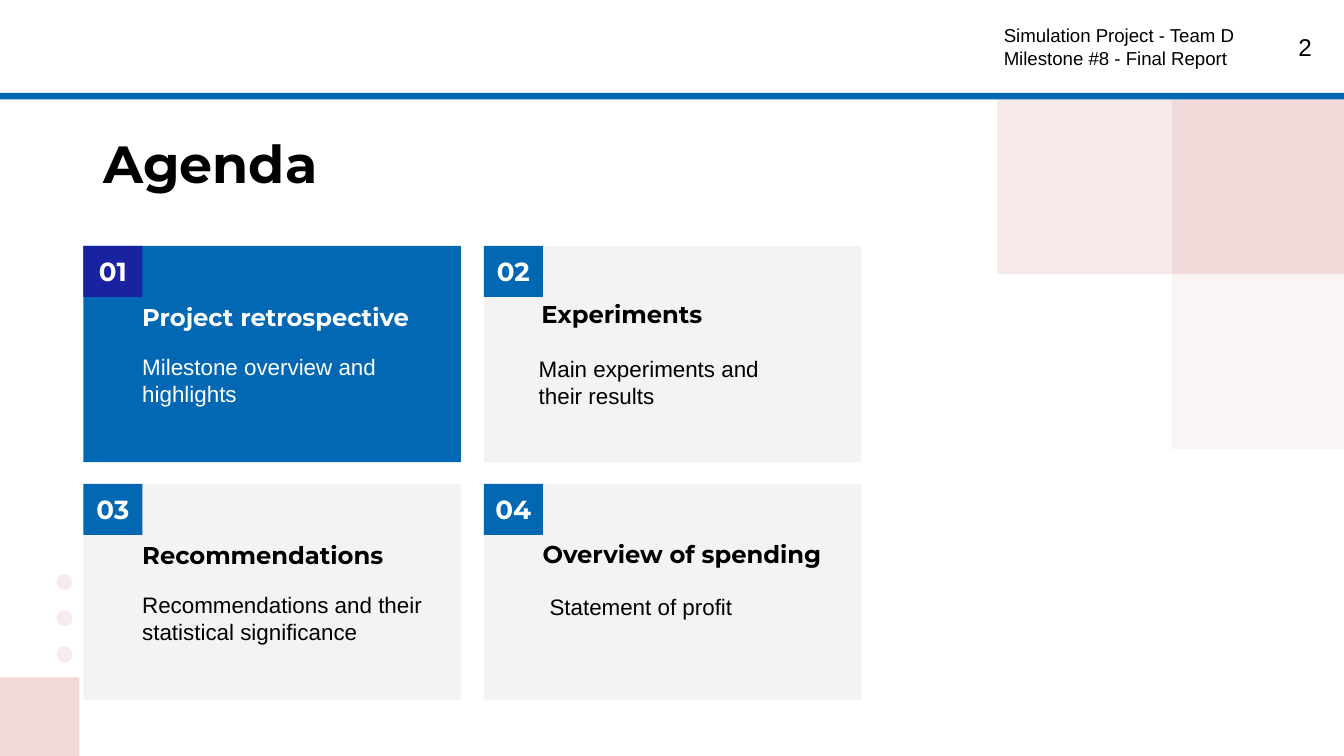
from dataclasses import dataclass

from lxml.etree import SubElement
from pptx import Presentation
from pptx.dml.color import RGBColor
from pptx.enum.shapes import MSO_SHAPE as Preset
from pptx.enum.text import MSO_ANCHOR as Anchor, MSO_AUTO_SIZE as AutoSize, PP_ALIGN as Align
from pptx.oxml.ns import qn
from pptx.shapes.autoshape import Shape
from pptx.slide import Slide
from pptx.util import Inches, Pt

BLUE, NAVY, GREY = "0268B4", "1922A1", "F3F3F3"
PINK, PALE_PINK = "F2DADA", "F7EBEB"
WHITE, BLACK = "FFFFFF", "000000"

SLIDE_WIDTH = 10
SLIDE_HEIGHT = SLIDE_WIDTH * 9 / 16
CARD_LEFT, CARD_TOP = 0.62, 1.83
CARD_WIDTH, CARD_HEIGHT = 2.81, 1.61
COLUMN_STEP, ROW_STEP = 2.98, 1.77
SQUARE = 1.3
RULE_BOTTOM = 0.74

Box = tuple[float, float, float, float]


@dataclass(frozen=True)
class TextStyle:
    size: float
    font: str = "Arial"
    color: str = BLACK
    bold: bool = False
    align: Align = Align.LEFT
    space_after: float = 0


@dataclass(frozen=True)
class AgendaItem:
    heading: str
    heading_box: Box
    detail: str
    detail_box: Box
    fill: str = GREY
    badge_fill: str = BLUE
    color: str = BLACK


ITEMS = [
    AgendaItem("Project retrospective", (0.96, 2.15, 2.38, 0.38),
               "Milestone overview and highlights", (0.96, 2.53, 2.19, 0.72),
               BLUE, NAVY, WHITE),
    AgendaItem("Experiments", (3.93, 2.13, 2.03, 0.42),
               "Main experiments and their results", (3.91, 2.54, 2.19, 0.55)),
    AgendaItem("Recommendations", (0.96, 3.92, 2.08, 0.38),
               "Recommendations and their statistical significance", (0.96, 4.3, 2.3, 0.82)),
    AgendaItem("Overview of spending", (3.94, 3.91, 2.47, 0.4),
               "Statement of profit", (3.99, 4.31, 2.19, 0.55)),
]


def rgb(color: str) -> RGBColor:
    return RGBColor.from_string(color)


def write(shape: Shape, lines: list[str], style: TextStyle,
          side_inset: float = 0.1, anchor: Anchor = Anchor.TOP) -> None:
    frame = shape.text_frame
    settings = {
        "word_wrap": True, "auto_size": AutoSize.NONE, "vertical_anchor": anchor,
        "margin_left": Inches(side_inset), "margin_right": Inches(side_inset),
        "margin_top": Inches(0.1), "margin_bottom": Inches(0.1),
    }
    for name, value in settings.items():
        setattr(frame, name, value)
    frame.text = "\n".join(lines)
    for paragraph in frame.paragraphs:
        paragraph.alignment = style.align
        paragraph.space_before = Pt(0)
        paragraph.space_after = Pt(style.space_after)
        paragraph.line_spacing = 1.0
        font = paragraph.font
        font.name, font.size, font.bold = style.font, Pt(style.size), style.bold
        font.color.rgb = rgb(style.color)


def add_text(slide: Slide, box: Box, lines: list[str], style: TextStyle) -> None:
    write(slide.shapes.add_textbox(*map(Inches, box)), lines, style)


def add_block(slide: Slide, box: Box, fill: str, preset: Preset = Preset.RECTANGLE,
              opacity: int = 100) -> Shape:
    """Add a filled shape without outline; opacity is in percent."""
    block = slide.shapes.add_shape(preset, *map(Inches, box))
    block.shadow.inherit = False
    block.fill.solid()
    block.fill.fore_color.rgb = rgb(fill)
    block.line.fill.background()
    if opacity < 100:
        color = block.fill._xPr.find(qn("a:solidFill"))[0]
        SubElement(color, qn("a:alpha")).set("val", str(opacity * 1000))
    return block


def add_decoration(slide: Slide) -> None:
    for row in range(3):
        add_block(slide, (0.42, 4.27 + 0.27 * row, 0.12, 0.12), PALE_PINK, Preset.OVAL)
    add_block(slide, (0, 5.04, 0.59, SLIDE_HEIGHT - 5.04), PINK)
    for column, row, opacity in [(0, 0, 100), (0, 1, 28), (-1, 0, 55)]:
        left, top = 8.72 + SQUARE * column, RULE_BOTTOM + SQUARE * row
        width = min(SQUARE, SLIDE_WIDTH - left)
        add_block(slide, (left, top, width, SQUARE), PINK, opacity=opacity)


def add_header(slide: Slide) -> None:
    add_block(slide, (0, 0.69, SLIDE_WIDTH, 0.05), BLUE)
    add_text(slide, (9.26, 0.14, 0.6, 0.43), ["2"], TextStyle(13, align=Align.RIGHT))
    add_text(slide, (7.37, 0.08, 2.08, 0.52),
             ["Simulation Project - Team D", "Milestone #8 - Final Report"], TextStyle(10))


def add_title(slide: Slide) -> None:
    title = slide.shapes.title
    title.left, title.top, title.width, title.height = map(Inches, (0.67, 0.88, 8.44, 0.63))
    write(title, ["Agenda"], TextStyle(28, "Montserrat", bold=True))


def add_item(slide: Slide, index: int, item: AgendaItem) -> None:
    row, column = divmod(index, 2)
    left, top = CARD_LEFT + COLUMN_STEP * column, CARD_TOP + ROW_STEP * row
    add_block(slide, (left, top, CARD_WIDTH, CARD_HEIGHT), item.fill)
    badge = add_block(slide, (left, top, 0.44, 0.38), item.badge_fill)
    write(badge, [f"{index + 1:02}"],
          TextStyle(14, "Montserrat", WHITE, True, Align.CENTER), 0, Anchor.MIDDLE)
    add_text(slide, item.heading_box, [item.heading],
             TextStyle(13, "Montserrat", item.color, True, space_after=8))
    add_text(slide, item.detail_box, [item.detail],
             TextStyle(12, color=item.color, space_after=8))


def main() -> None:
    deck = Presentation()
    deck.slide_width, deck.slide_height = Inches(SLIDE_WIDTH), Inches(SLIDE_HEIGHT)
    slide = deck.slides.add_slide(deck.slide_layouts[5])
    add_decoration(slide)
    add_header(slide)
    add_title(slide)
    for index, item in enumerate(ITEMS):
        add_item(slide, index, item)
    deck.save("out.pptx")


if __name__ == "__main__":
    main()
